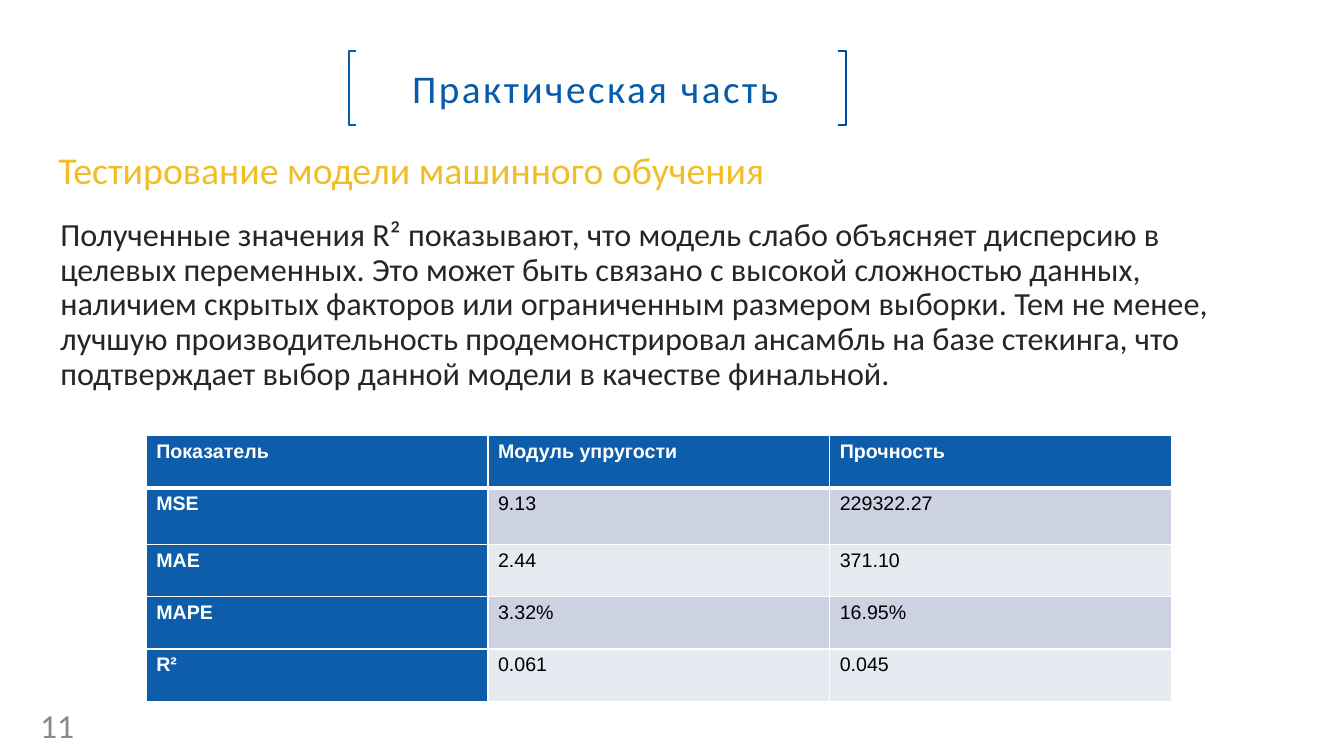
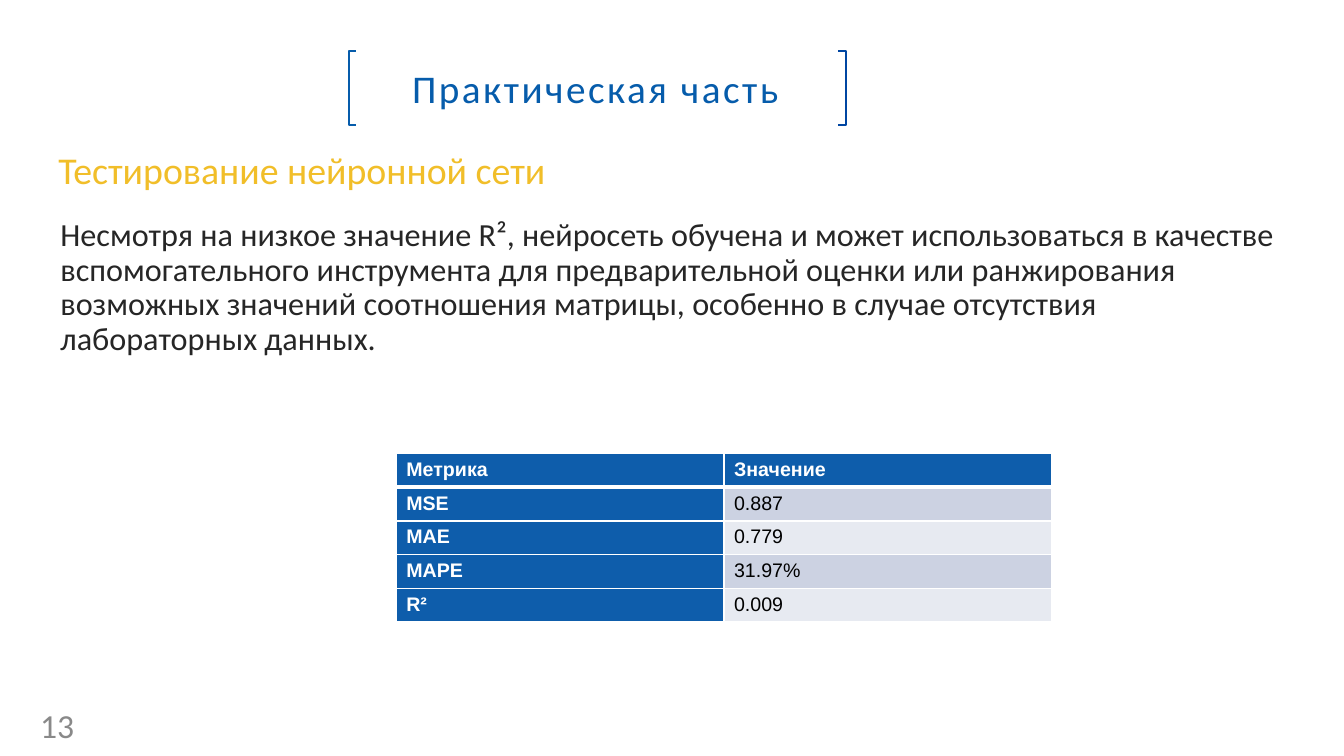
from pptx import Presentation
from pptx.dml.color import RGBColor
from pptx.enum.shapes import MSO_SHAPE
from pptx.enum.text import MSO_ANCHOR, PP_ALIGN
from pptx.oxml.ns import qn
from pptx.util import Inches, Pt
from lxml.etree import SubElement

RECT = MSO_SHAPE.RECTANGLE
TOP, MIDDLE = MSO_ANCHOR.TOP, MSO_ANCHOR.MIDDLE
LEFT, CENTER, JUSTIFY = PP_ALIGN.LEFT, PP_ALIGN.CENTER, PP_ALIGN.JUSTIFY
WHITE, BLACK, INK, GREY = "FFFFFF", "000000", "262626", "898989"
BLUE, NAVY, GOLD = "065CAB", "0046A2", "F1BE29"
HEAD, BANDS = "0E5DAB", ("CCD2E2", "E7EAF1")


def rgb(code):
    return RGBColor.from_string(code)


def write(frame, text, size, color, font="Calibri", bold=False, align=LEFT,
          anchor=TOP, lines=1, before=0, left=0, first=0, track=0):
    frame.word_wrap = True
    frame.vertical_anchor = anchor
    para = frame.paragraphs[0]
    para.alignment = align
    para.line_spacing = lines
    para.space_before = Pt(before)
    props = para._p.get_or_add_pPr()
    props.set("marL", str(Inches(left)))
    props.set("indent", str(Inches(first)))
    run = para.add_run()
    run.text = text
    run.font.size = Pt(size)
    run.font.name = font
    run.font.bold = bold
    run.font.color.rgb = rgb(color)
    if track:
        run._r.get_or_add_rPr().set("spc", str(round(track * 100)))


def label(slide, box, text, size, color, **form):
    shape = slide.shapes.add_textbox(*map(Inches, box))
    write(shape.text_frame, text, size, color, **form)


def bracket(group, tip, edge, top, high, color):
    points = [(Inches(x), Inches(y)) for x, y in
              ((tip, top), (edge, top), (edge, top + high), (tip, top + high))]
    pen = group.shapes.build_freeform(*points[0], scale=1.0)
    pen.add_line_segments(points[1:], close=False)
    shape = pen.convert_to_shape()
    shape.shadow.inherit = False
    shape.fill.background()
    shape.line.color.rgb = rgb(color)
    shape.line.width = Pt(1.3)


def banner(slide, box, text):
    left, top, wide, high = box
    group = slide.shapes.add_group_shape()
    plate = group.shapes.add_shape(RECT, *map(Inches, box))
    plate.shadow.inherit = False
    plate.fill.solid()
    plate.fill.fore_color.rgb = rgb(WHITE)
    plate.line.color.rgb = rgb(WHITE)
    plate.line.width = Pt(2)
    write(plate.text_frame, text, 28, BLUE, align=CENTER, anchor=MIDDLE,
          track=1.8)
    right = left + wide
    bracket(group, left + 0.07, left, top, high, BLUE)
    bracket(group, right - 0.04, right + 0.04, top, high, NAVY)


def border(cell, side, width):
    line = SubElement(cell._tc.get_or_add_tcPr(), qn("a:ln" + side),
                      w=str(Pt(width)))
    fill = SubElement(line, qn("a:solidFill"))
    SubElement(fill, qn("a:srgbClr"), val=WHITE)


def grid(slide, left, top, wide, rows, highs):
    count = len(rows[0])
    frame = slide.shapes.add_table(len(rows), count, Inches(left), Inches(top),
                                   Inches(wide * count), Inches(sum(highs)))
    table = frame.table
    for col in table.columns:
        col.width = Inches(wide)
    for r, (row, high) in enumerate(zip(rows, highs)):
        table.rows[r].height = Inches(high)
        for c, text in enumerate(row):
            cell = table.cell(r, c)
            head = r == 0 or c == 0
            for side in "LRTB":
                thick = (r, side) in ((0, "B"), (1, "T"))
                border(cell, side, 3 if thick else 1)
            cell.fill.solid()
            cell.fill.fore_color.rgb = rgb(HEAD if head else BANDS[(r - 1) % 2])
            write(cell.text_frame, text, 14, WHITE if head else BLACK,
                  font="Arial", bold=head, align=JUSTIFY)


def page(deck, number, topic, body):
    slide = deck.slides.add_slide(deck.slide_layouts[6])
    label(slide, (0.42, 2.12, 12.41, 4.76), body, 23, INK,
          lines=0.9, before=7.5, left=0.08)
    label(slide, (0.23, 1.46, 12.41, 0.66), topic, 27, GOLD,
          lines=0.9, before=7.5, left=0.5, first=-0.25)
    label(slide, (0.3, 7.04, 0.62, 0.3), number, 24, GREY, anchor=MIDDLE)
    banner(slide, (3.46, 0.51, 4.89, 0.73), "Практическая часть")
    return slide


def main():
    deck = Presentation()
    deck.slide_width, deck.slide_height = Inches(13.33), Inches(7.5)

    model = page(
        deck, "11", "Тестирование модели машинного обучения",
        "Полученные значения R² показывают, что модель слабо объясняет "
        "дисперсию в целевых переменных. Это может быть связано с высокой "
        "сложностью данных, наличием скрытых факторов или ограниченным "
        "размером выборки. Тем не менее, лучшую производительность "
        "продемонстрировал ансамбль на базе стекинга, что подтверждает выбор "
        "данной модели в качестве финальной.")
    grid(model, 1.45, 4.32, 3.39, (
        ("Показатель", "Модуль упругости", "Прочность"),
        ("MSE", "9.13", "229322.27"),
        ("MAE", "2.44", "371.10"),
        ("MAPE", "3.32%", "16.95%"),
        ("R²", "0.061", "0.045")), (0.52, 0.56, 0.52, 0.52, 0.52))

    net = page(
        deck, "13", "Тестирование нейронной сети",
        "Несмотря на низкое значение R², нейросеть обучена и может "
        "использоваться в качестве вспомогательного инструмента для "
        "предварительной оценки или ранжирования возможных значений "
        "соотношения матрицы, особенно в случае отсутствия лабораторных "
        "данных.")
    grid(net, 3.93, 4.5, 3.25, (
        ("Метрика", "Значение"),
        ("MSE", "0.887"),
        ("MAE", "0.779"),
        ("MAPE", "31.97%"),
        ("R²", "0.009")), (0.33,) * 5)

    deck.save("out.pptx")


if __name__ == "__main__":
    main()
